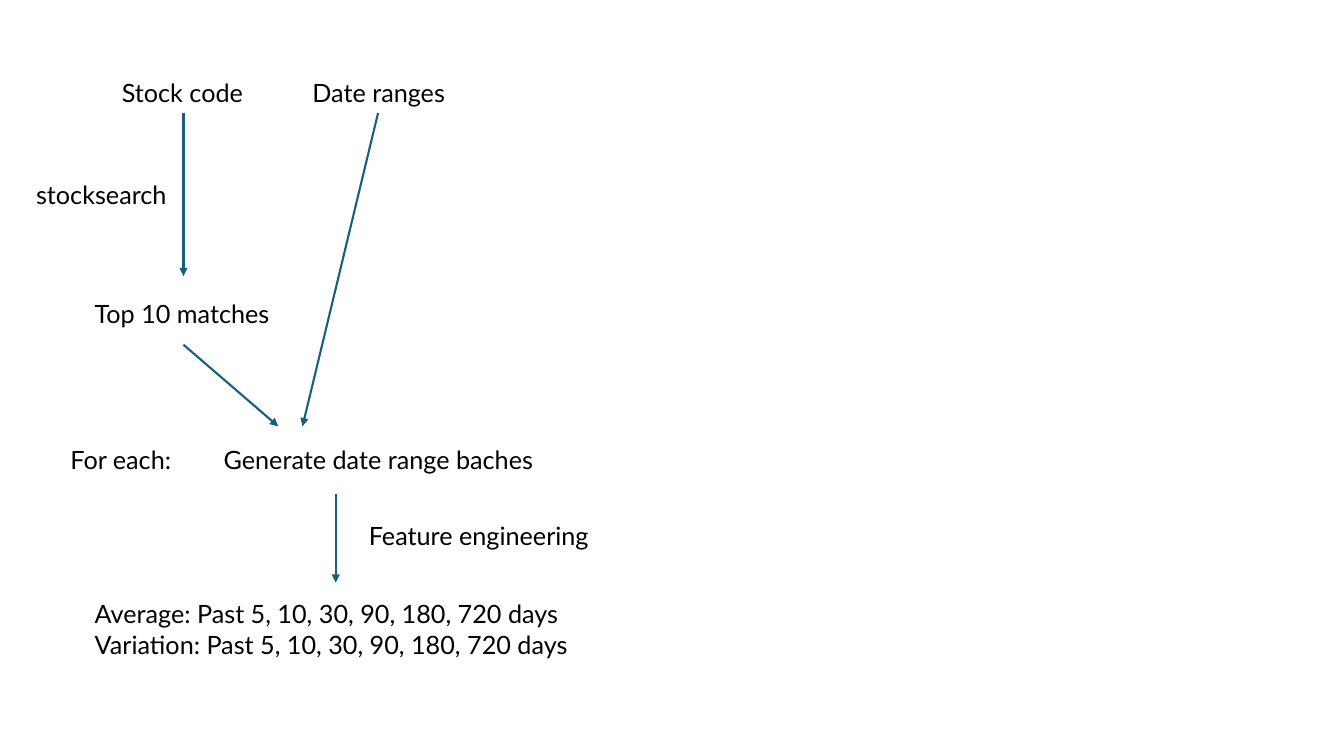
from lxml.etree import SubElement
from pptx import Presentation
from pptx.dml.color import RGBColor
from pptx.enum.shapes import MSO_CONNECTOR
from pptx.enum.text import MSO_AUTO_SIZE
from pptx.oxml.ns import qn
from pptx.util import Inches, Pt

BLACK = RGBColor(0x00, 0x00, 0x00)
TEAL = RGBColor(0x15, 0x60, 0x82)
FONT = "Lato"
BOTTOM = 2
LINE_HEIGHT = 0.4


def add_label(slide, left, top, width, *lines, height=LINE_HEIGHT):
    """Add a text box without right inset, so that each line fits unbroken."""
    label = slide.shapes.add_textbox(
        Inches(left), Inches(top), Inches(width), Inches(height))
    frame = label.text_frame
    frame.word_wrap = True
    frame.margin_right = Inches(0)
    frame.auto_size = MSO_AUTO_SIZE.SHAPE_TO_FIT_TEXT
    for index, line in enumerate(lines):
        paragraph = frame.add_paragraph() if index else frame.paragraphs[0]
        run = paragraph.add_run()
        run.text = line
        run.font.name = FONT
        run.font.size = Pt(18)
        run.font.color.rgb = BLACK
    return label


def add_arrow(slide, start, end, source=None):
    """Draw an arrow, joined to the bottom of the source label if given."""
    arrow = slide.shapes.add_connector(
        MSO_CONNECTOR.STRAIGHT, *map(Inches, start + end))
    if source is not None:
        arrow.begin_connect(source, BOTTOM)
    arrow.line.color.rgb = TEAL
    arrow.line.width = Pt(1.5)
    SubElement(arrow.line._get_or_add_ln(), qn("a:tailEnd"), type="triangle")
    SubElement(arrow._element.spPr, qn("a:effectLst"))


def main():
    presentation = Presentation()
    presentation.slide_width = Inches(13.33)
    presentation.slide_height = Inches(7.5)
    slide = presentation.slides.add_slide(presentation.slide_layouts[6])

    stock_code = add_label(slide, 1.11, 0.72, 1.42, "Stock code")
    date_ranges = add_label(slide, 3, 0.72, 1.5, "Date ranges")
    add_label(slide, 0.26, 1.73, 1.54, "stocksearch")
    add_label(slide, 0.84, 2.91, 1.91, "Top 10 matches")
    add_label(slide, 0.6, 4.36, 1.22, "For each:")
    add_label(slide, 2.12, 4.36, 3.26, "Generate date range baches")
    add_label(slide, 3.56, 5.11, 2.35, "Feature engineering")
    periods = "Past 5, 10, 30, 90, 180, 720 days"
    add_label(slide, 0.84, 5.89, 4.95,
              f"Average: {periods}", f"Variation: {periods}", height=0.71)

    add_arrow(slide, (1.82, 1.12), (1.82, 2.74), stock_code)
    add_arrow(slide, (3.75, 1.12), (3, 4.23), date_ranges)
    add_arrow(slide, (1.82, 3.42), (2.76, 4.23))
    add_arrow(slide, (3.33, 4.9), (3.33, 5.78))

    presentation.save("out.pptx")


if __name__ == "__main__":
    main()
